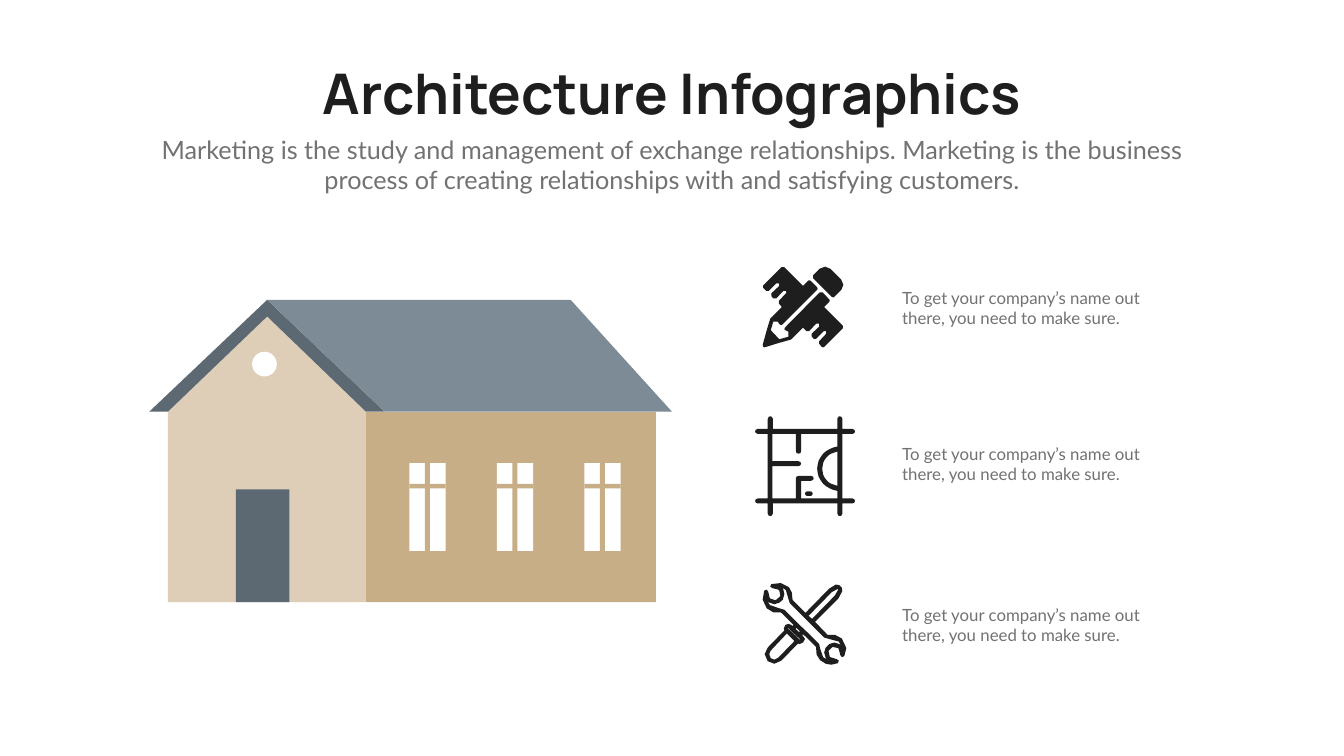
from math import cos, radians, sin

from pptx import Presentation
from pptx.dml.color import RGBColor
from pptx.enum.shapes import MSO_SHAPE as SHAPE
from pptx.enum.text import MSO_AUTO_SIZE as AUTO, PP_ALIGN as ALIGN
from pptx.util import Cm, Pt

INK = RGBColor(0x1E, 0x1E, 0x1F)
GREY = RGBColor(0x72, 0x71, 0x73)
WHITE = RGBColor(0xFF, 0xFF, 0xFF)
CREAM = RGBColor(0xDE, 0xCE, 0xB7)
TAN = RGBColor(0xC8, 0xAE, 0x87)
SLATE = RGBColor(0x5C, 0x68, 0x72)
ROOF = RGBColor(0x7D, 0x8B, 0x96)

UNIT = Cm(2.54) / 100  # drawing grid of the house and the icons


def add_text(s, text, box, *, size, font, color, bold=False, align=ALIGN.LEFT, wrap=True):
    tf = s.shapes.add_textbox(*(Cm(v) for v in box)).text_frame
    tf.word_wrap = wrap
    tf.auto_size = AUTO.SHAPE_TO_FIT_TEXT
    p = tf.paragraphs[0]
    p.alignment = align
    r = p.add_run()
    r.text = text
    f = r.font
    f.size, f.name, f.bold = Pt(size), font, bold
    f.color.rgb = color


def paint(sp, color):
    sp.shadow.inherit = False
    sp.fill.solid()
    sp.fill.fore_color.rgb = color
    sp.line.fill.background()


def add_outline(s, origin, color, *contours):
    """Fill closed contours, in grid units from origin; inner ones are holes."""
    fb = s.shapes.build_freeform(*contours[0][0], scale=UNIT)
    fb.add_line_segments(contours[0][1:])
    for points in contours[1:]:
        fb.move_to(*points[0])
        fb.add_line_segments(points[1:])
    paint(fb.convert_to_shape(*(Cm(v) for v in origin)), color)


def add_preset(s, origin, kind, box, color):
    x, y, w, h = (round(v * UNIT) for v in box)
    left, top = (Cm(v) for v in origin)
    sp = s.shapes.add_shape(kind, left + x, top + y, w, h)
    paint(sp, color)
    return sp


def arc(cx, cy, radius, start, end, steps=16):
    angles = [radians(start + (end - start) * i / steps) for i in range(steps + 1)]
    return [(round(cx + radius * cos(a)), round(cy + radius * sin(a))) for a in angles]


def draw_header(s, left, top):
    add_text(s, "Architecture Infographics", (left + 7.29, top, 38.33, 3.68),
             size=80, font="Manrope", color=INK, bold=True, align=ALIGN.CENTER, wrap=False)
    add_text(s, "Marketing is the study and management of exchange relationships. Marketing is "
             "the business process of creating relationships with and satisfying customers.",
             (left, top + 3.78, 52.88, 3.33),
             size=36, font="Lato", color=GREY, align=ALIGN.CENTER)


def draw_house(s, origin):
    # Walls
    add_outline(s, origin, CREAM, [(234, 33), (37, 222), (37, 600), (430, 600), (430, 222)])
    add_preset(s, origin, SHAPE.RECTANGLE, (430, 223, 575, 377), TAN)
    # Gable trim and roof
    add_outline(s, origin, SLATE, [(37, 222), (0, 222), (234, 0), (467, 222), (430, 222), (234, 33)])
    add_outline(s, origin, ROOF, [(234, 0), (836, 0), (1037, 222), (467, 222)])
    # Windows: pane, upright bar, cross bar
    for i in range(3):
        x = 516 + 173.5 * i
        add_preset(s, origin, SHAPE.RECTANGLE, (x, 324, 72, 174), WHITE)
        add_preset(s, origin, SHAPE.RECTANGLE, (x + 31, 324, 10, 174), TAN)
        add_preset(s, origin, SHAPE.RECTANGLE, (x, 365, 72, 9), TAN)
    # Round window and door
    add_preset(s, origin, SHAPE.OVAL, (204, 103, 49, 49), WHITE)
    add_preset(s, origin, SHAPE.RECTANGLE, (172, 376, 106, 224), SLATE)


def draw_pencil_ruler(s, origin):
    eraser = [(137, 60), (140, 61), (142, 60), (156, 46), (160, 36), (156, 26),
              (134, 4), (124, 0), (113, 4), (100, 17), (100, 23)]
    body = [(122, 80), (132, 70), (133, 67), (132, 65), (119, 51), (113, 51), (44, 121), (43, 124),
            (45, 126), (51, 129), (51, 139), (33, 144), (16, 126), (21, 109), (30, 109), (33, 114),
            (36, 116), (39, 115), (108, 46), (109, 44), (108, 41), (95, 28), (92, 27), (90, 28),
            (80, 38), (43, 1), (37, 1), (1, 37), (1, 42), (7, 48), (12, 48), (27, 33),
            (32, 33), (33, 36), (32, 39), (17, 53), (17, 58), (21, 63), (27, 63), (41, 48),
            (46, 48), (47, 51), (46, 53), (32, 68), (32, 73), (38, 80), (15, 103), (8, 126),
            (0, 155), (1, 159), (4, 160), (33, 151), (55, 145), (57, 144), (80, 121), (87, 128),
            (92, 128), (106, 113), (112, 113), (112, 119), (97, 133), (97, 138), (101, 143),
            (106, 143), (121, 128), (126, 128), (126, 133), (112, 148), (112, 153), (117, 159),
            (120, 160), (122, 159), (159, 122), (159, 117)]
    add_outline(s, origin, INK, eraser)
    add_outline(s, origin, INK, body)


def draw_floor_plan(s, origin):
    # One corner with its two rounded line ends, turned four times
    corner = [(25, 35), (5, 35), (1, 33), (0, 30), (1, 27), (5, 25), (25, 25),
              (25, 5), (27, 1), (30, 0), (33, 1), (35, 5), (35, 25)]
    frame = []
    for _ in range(4):
        frame += corner
        corner = [(198 - y, x) for x, y in corner]
    room = [(91, 163), (91, 128), (111, 128), (115, 126), (116, 123), (115, 120), (111, 118),
            (86, 118), (82, 120), (81, 123), (81, 163), (34, 163), (34, 99), (86, 99), (90, 97),
            (91, 94), (90, 91), (86, 89), (34, 89), (34, 35), (81, 35), (81, 69), (82, 73),
            (86, 74), (90, 73), (91, 69), (91, 35), (163, 35),
            *arc(167, 104, 44, 265, 95), (163, 163)]
    add_outline(s, origin, INK, frame, room, arc(167, 104, 34, 263, 97))
    bar = add_preset(s, origin, SHAPE.ROUNDED_RECTANGLE, (99, 149, 15, 9), INK)
    bar.adjustments[0] = 0.5


def draw_tools(s, origin):
    outer = [(157, 111), (144, 104), (130, 104), (128, 103), (104, 78), (150, 32), (151, 30),
             (158, 17), (157, 10), (152, 5), (145, 4), (132, 12), (131, 13), (85, 60), (81, 56),
             (60, 35), (59, 33), (58, 20), (52, 9), (36, 1), (17, 3), (15, 8), (19, 11), (31, 14),
             (33, 16), (35, 25), (34, 28), (27, 34), (25, 35), (16, 32), (14, 31), (11, 18),
             (8, 14), (3, 16), (0, 34), (8, 51), (21, 59), (35, 59), (37, 60), (61, 84), (59, 86),
             (57, 84), (51, 82), (45, 84), (42, 91), (43, 95), (10, 129), (4, 142), (10, 156),
             (23, 161), (37, 155), (70, 121), (73, 122), (80, 119), (84, 112), (80, 106),
             (78, 104), (80, 103), (84, 106), (106, 128), (106, 130), (107, 143), (114, 154),
             (125, 161), (136, 163), (149, 160), (151, 155), (147, 152), (134, 148), (133, 147),
             (131, 137), (131, 135), (138, 128), (140, 128), (150, 130), (151, 132), (154, 144),
             (157, 148), (162, 146), (166, 130)]
    shaft = [(137, 19), (148, 13), (150, 14), (143, 26), (98, 72), (91, 66)]
    handle = [(31, 149), (23, 153), (16, 150), (13, 142), (16, 135), (48, 101), (63, 116)]
    collar = [(74, 113), (73, 113), (50, 91), (51, 90), (63, 102), (74, 112)]
    neck = [(72, 98), (65, 92), (67, 90), (74, 97)]
    wrench = [(152, 122), (142, 119), (132, 122), (125, 129), (122, 139), (125, 149), (126, 152),
              (120, 148), (114, 131), (112, 122), (90, 100), (70, 81), (43, 54), (33, 51),
              (15, 45), (10, 39), (14, 40), (23, 43), (33, 40), (40, 34), (43, 23), (41, 14),
              (39, 10), (46, 15), (51, 32), (54, 41), (75, 62), (122, 109), (132, 112),
              (151, 117), (155, 124)]
    add_outline(s, origin, INK, outer, shaft, handle, collar, neck, wrench)


def draw_item(s, left, top, draw_icon, dx, dy):
    """Caption at the right of the row, icon offset from the row's corner."""
    draw_icon(s, (left + dx, top + dy))
    add_text(s, "To get your company’s name out there, you need to make sure.",
             (left + 7.16, top, 12.55, 2.31), size=24, font="Lato", color=GREY)


def main():
    prs = Presentation()
    prs.slide_width, prs.slide_height = Cm(67.72), Cm(38.1)
    s = prs.slides.add_slide(prs.slide_layouts[6])
    draw_header(s, 7.42, 2.84)
    draw_house(s, (7.52, 15.11))
    draw_item(s, 38.05, 14.38, draw_pencil_ruler, 0.38, -0.94)
    draw_item(s, 38.05, 22.25, draw_floor_plan, 0, -1.27)
    draw_item(s, 38.05, 30.35, draw_tools, 0.38, -0.99)
    prs.save("out.pptx")


if __name__ == "__main__":
    main()
